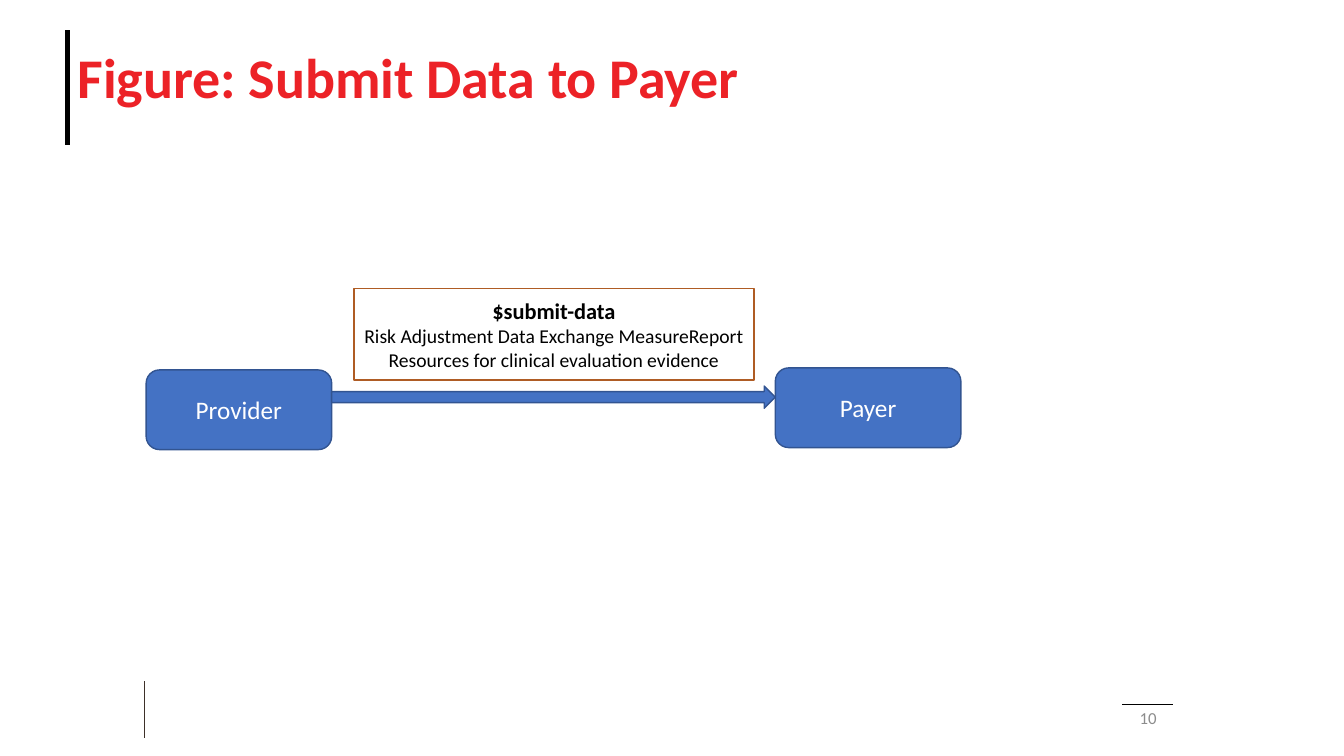
from dataclasses import dataclass

from lxml import etree
from pptx import Presentation
from pptx.dml.color import RGBColor
from pptx.enum.shapes import MSO_CONNECTOR, MSO_SHAPE
from pptx.enum.text import MSO_ANCHOR, PP_ALIGN
from pptx.oxml.ns import qn
from pptx.util import Emu, Pt

PX = 9144
FONT = "Calibri"
STRAIGHT = MSO_CONNECTOR.STRAIGHT
RECTANGLE = MSO_SHAPE.RECTANGLE
ROUNDED = MSO_SHAPE.ROUNDED_RECTANGLE
RIGHT_ARROW = MSO_SHAPE.RIGHT_ARROW
MIDDLE = MSO_ANCHOR.MIDDLE
LEFT, CENTER, RIGHT = PP_ALIGN.LEFT, PP_ALIGN.CENTER, PP_ALIGN.RIGHT
COLORS = {
    "black": "000000",
    "white": "FFFFFF",
    "title": "EC2227",
    "number": "8C8C8C",
    "footer": "3D3029",
    "blue": "4472C4",
    "outline": "325491",
    "label": "AF5C24",
}


@dataclass
class Rule:
    left: int
    top: int
    right: int
    bottom: int
    color: str
    weight: float


@dataclass
class Line:
    text: str
    size: int
    color: str
    bold: bool = False


@dataclass
class Box:
    left: int
    top: int
    width: int
    height: int
    lines: tuple[Line, ...] = ()
    align: PP_ALIGN = CENTER
    spacing: float = 1.0
    inset: int = 10


@dataclass
class Figure:
    kind: MSO_SHAPE
    box: Box
    outline: str = "outline"
    fill: str | None = "blue"


RULES = (
    Rule(67, 30, 67, 144, "black", 3.25),
    Rule(143, 676, 143, 732, "footer", 0.5),
    Rule(1113, 699, 1163, 699, "black", 1),
)
TEXTS = (
    Box(67, 23, 1200, 114,
        (Line("Figure: Submit Data to Payer", 40, "title", True),), LEFT, 0.9),
    Box(1117, 701, 40, 23, (Line("10", 12, "number"),), RIGHT),
)
FIGURES = (
    Figure(RECTANGLE, Box(351, 286, 397, 91, (
        Line("$submit-data", 16, "black", True),
        Line("Risk Adjustment Data Exchange MeasureReport", 14, "black"),
        Line("Resources for clinical evaluation evidence", 14, "black"),
    ), inset=5), "label", None),
    Figure(ROUNDED, Box(145, 367, 184, 79, (Line("Provider", 18, "white"),))),
    Figure(ROUNDED, Box(769, 365, 184, 79, (Line("Payer", 18, "white"),))),
    Figure(RIGHT_ARROW, Box(329, 383, 440, 22)),
)


def px(*lengths: int) -> list[Emu]:
    return [Emu(length * PX) for length in lengths]


def rgb(name: str) -> RGBColor:
    return RGBColor.from_string(COLORS[name])


def draw_rule(page, rule: Rule) -> None:
    connector = page.shapes.add_connector(
        STRAIGHT, *px(rule.left, rule.top, rule.right, rule.bottom))
    connector.line.color.rgb = rgb(rule.color)
    connector.line.width = Pt(rule.weight)
    etree.SubElement(connector._element.spPr, qn("a:effectLst"))


def write_lines(shape, box: Box) -> None:
    frame = shape.text_frame
    frame.word_wrap = True
    frame.vertical_anchor = MIDDLE
    frame.margin_left = frame.margin_right = Emu(box.inset * PX)
    frame.text = "\n".join(line.text for line in box.lines)
    for para, line in zip(frame.paragraphs, box.lines):
        para.alignment = box.align
        para.line_spacing = box.spacing
        for span in para.runs:
            span.font.name = FONT
            span.font.size = Pt(line.size)
            span.font.bold = line.bold
            span.font.color.rgb = rgb(line.color)


def draw_text(page, box: Box) -> None:
    shape = page.shapes.add_textbox(*px(box.left, box.top, box.width, box.height))
    write_lines(shape, box)


def draw_figure(page, figure: Figure) -> None:
    box = figure.box
    shape = page.shapes.add_shape(
        figure.kind, *px(box.left, box.top, box.width, box.height))
    shape.shadow.inherit = False
    if figure.fill:
        shape.fill.solid()
        shape.fill.fore_color.rgb = rgb(figure.fill)
    else:
        shape.fill.background()
    shape.line.color.rgb = rgb(figure.outline)
    shape.line.width = Pt(1)
    if box.lines:
        write_lines(shape, box)


def main() -> None:
    deck = Presentation()
    deck.slide_width, deck.slide_height = px(1333, 750)
    page = deck.slides.add_slide(deck.slide_layouts[6])
    for rule in RULES:
        draw_rule(page, rule)
    for box in TEXTS:
        draw_text(page, box)
    for figure in FIGURES:
        draw_figure(page, figure)
    deck.save("out.pptx")


if __name__ == "__main__":
    main()
